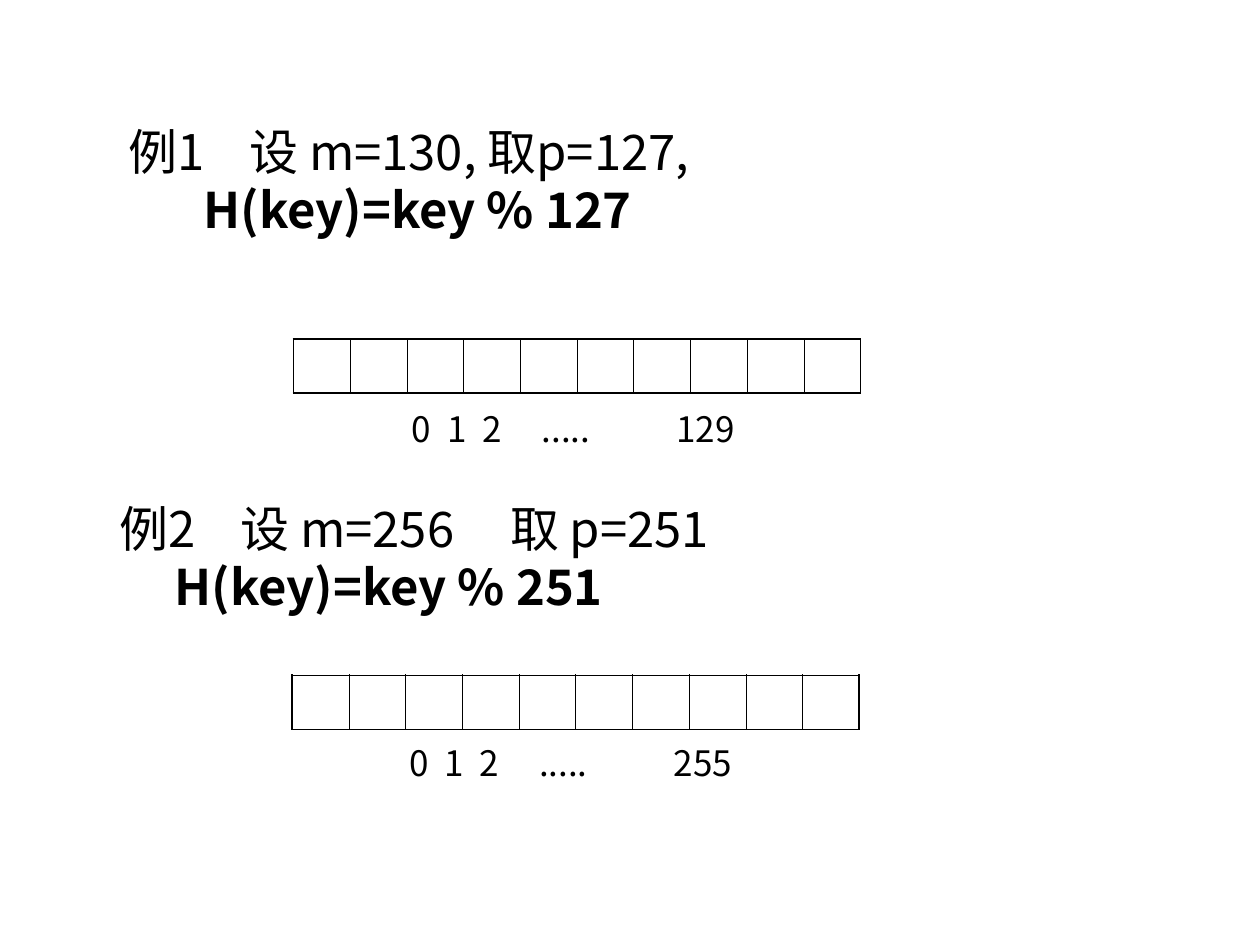
import dataclasses

import pptx
import pptx.dml.color
import pptx.oxml
import pptx.oxml.ns
import pptx.util
from pptx.util import Inches


@dataclasses.dataclass(frozen=True)
class Theme:
    font: str = "Noto Sans CJK SC"
    ink: str = "000000"
    heading_size: float = 28
    label_size: float = 20
    line_ratio: float = 1.185
    outer_line: float = 1.08
    inner_line: float = 0.45


THEME = Theme()
NAMESPACE = pptx.oxml.ns.nsdecls("a")
CELL_COUNT = 10
CELL_WIDTH = 0.45
ROW_HEIGHT = 0.43
HEADING_SIZE = (6.52, 1.14)
LABEL_SIZE = (2.97, 0.44)
LABEL_TABS = (0.28, 0.56, 1.03, 2.1)


def add_text_box(slide, box, lines, top_inset):
    left, top, width, height = map(Inches, box)
    frame = slide.shapes.add_textbox(left, top, width, height).text_frame
    frame.word_wrap = True
    frame.margin_top = Inches(top_inset)
    frame.text = "\n".join(lines)
    return frame


def format_paragraph(paragraph, size, tabs=(), margin=0, bold=False):
    """Apply the theme font, an exact line height, tab stops and a left margin."""
    paragraph.line_spacing = pptx.util.Pt(round(size * THEME.line_ratio, 1))
    properties = paragraph._p.get_or_add_pPr()
    if margin:
        properties.set("marL", str(Inches(margin)))
        properties.set("indent", "0")
    if tabs:
        stops = "".join(f'<a:tab pos="{Inches(tab)}" algn="l"/>' for tab in tabs)
        properties.append(pptx.oxml.parse_xml(f"<a:tabLst {NAMESPACE}>{stops}</a:tabLst>"))
    for run in paragraph.runs:
        run.font.name = THEME.font
        run.font.size = pptx.util.Pt(size)
        run.font.bold = bold
        run.font.color.rgb = pptx.dml.color.RGBColor.from_string(THEME.ink)
        run._r.get_or_add_rPr().append(
            pptx.oxml.parse_xml(f'<a:ea {NAMESPACE} typeface="{THEME.font}"/>'))


def add_heading(slide, left, top, example, formula, tabs, formula_margin):
    frame = add_text_box(slide, (left, top, *HEADING_SIZE), (example, formula), 0.06)
    first, second = frame.paragraphs
    format_paragraph(first, THEME.heading_size, tabs=tabs)
    format_paragraph(second, THEME.heading_size, margin=formula_margin, bold=True)


def add_index_labels(slide, left, top, last_index):
    line = "\t".join(("0", "1", "2", ".....", last_index))
    frame = add_text_box(slide, (left, top, *LABEL_SIZE), (line,), 0.05)
    format_paragraph(frame.paragraphs[0], THEME.label_size, tabs=LABEL_TABS)


def set_cell_borders(cell, widths):
    properties = cell._tc.get_or_add_tcPr()
    for position, (side, width) in enumerate(widths.items()):
        properties.insert(position, pptx.oxml.parse_xml(
            f'<a:{side} {NAMESPACE} w="{pptx.util.Pt(width)}"><a:solidFill>'
            f'<a:srgbClr val="{THEME.ink}"/></a:solidFill></a:{side}>'))


def add_hash_table(slide, left, top):
    """Draw one row of empty slots with a heavier outline."""
    table = slide.shapes.add_table(
        1, CELL_COUNT, Inches(left), Inches(top),
        Inches(CELL_WIDTH * CELL_COUNT), Inches(ROW_HEIGHT)).table
    table.first_row = False
    table.horz_banding = False
    for index in range(CELL_COUNT):
        table.columns[index].width = Inches(CELL_WIDTH)
        cell = table.cell(0, index)
        cell.margin_top = cell.margin_bottom = 0
        cell.fill.background()
        set_cell_borders(cell, {
            "lnL": THEME.outer_line if index == 0 else THEME.inner_line,
            "lnR": THEME.outer_line if index == CELL_COUNT - 1 else THEME.inner_line,
            "lnT": THEME.outer_line,
            "lnB": THEME.outer_line,
        })


def main():
    presentation = pptx.Presentation()
    presentation.slide_width = Inches(10)
    presentation.slide_height = Inches(7.5)
    slide = presentation.slides.add_slide(presentation.slide_layouts[6])

    add_heading(slide, 0.92, 0.91, "例1\t设 m=130, 取p=127,", "H(key)=key % 127",
                tabs=(0.96,), formula_margin=0.6)
    add_hash_table(slide, 2.33, 2.69)
    add_index_labels(slide, 3.17, 3.19, "129")

    add_heading(slide, 0.85, 3.9, "例2\t设 m=256\t取 p=251", "H(key)=key % 251",
                tabs=(0.96, 3.1), formula_margin=0.44)
    add_hash_table(slide, 2.32, 5.36)
    add_index_labels(slide, 3.15, 5.84, "255")

    presentation.save("out.pptx")


if __name__ == "__main__":
    main()
